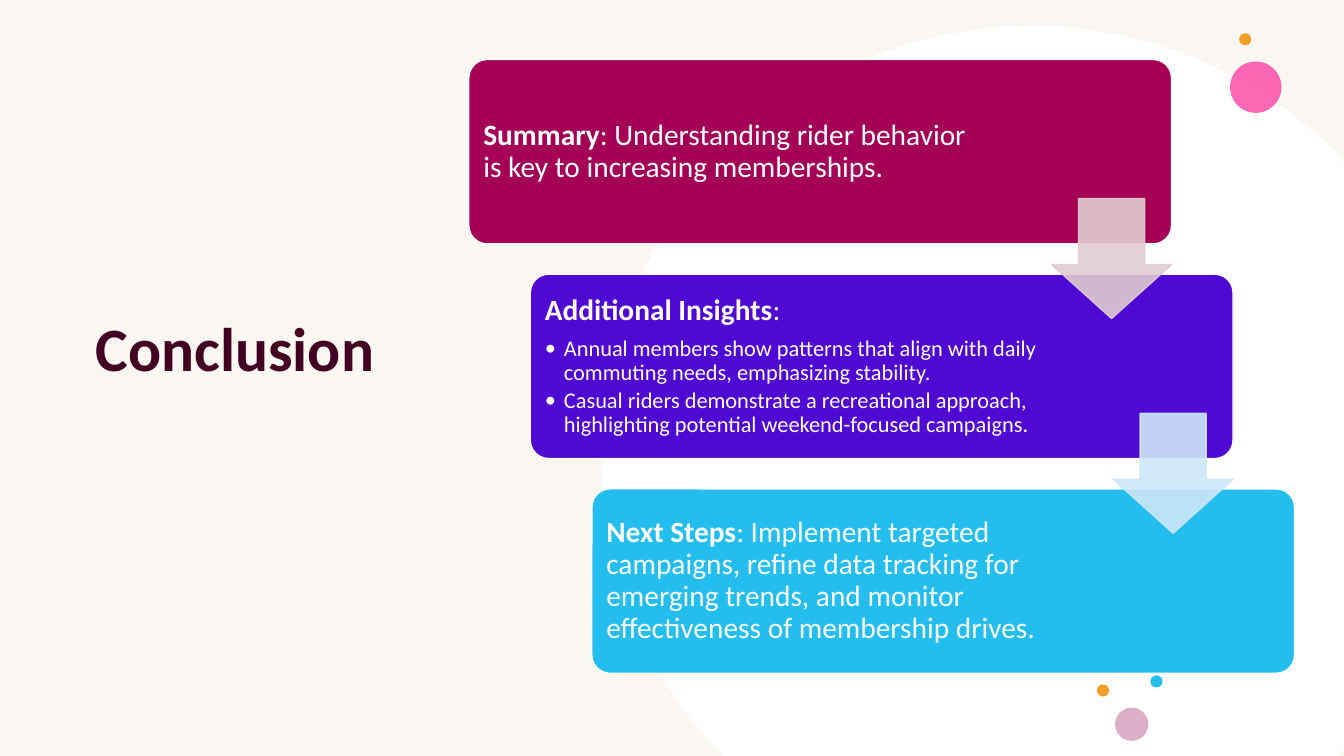
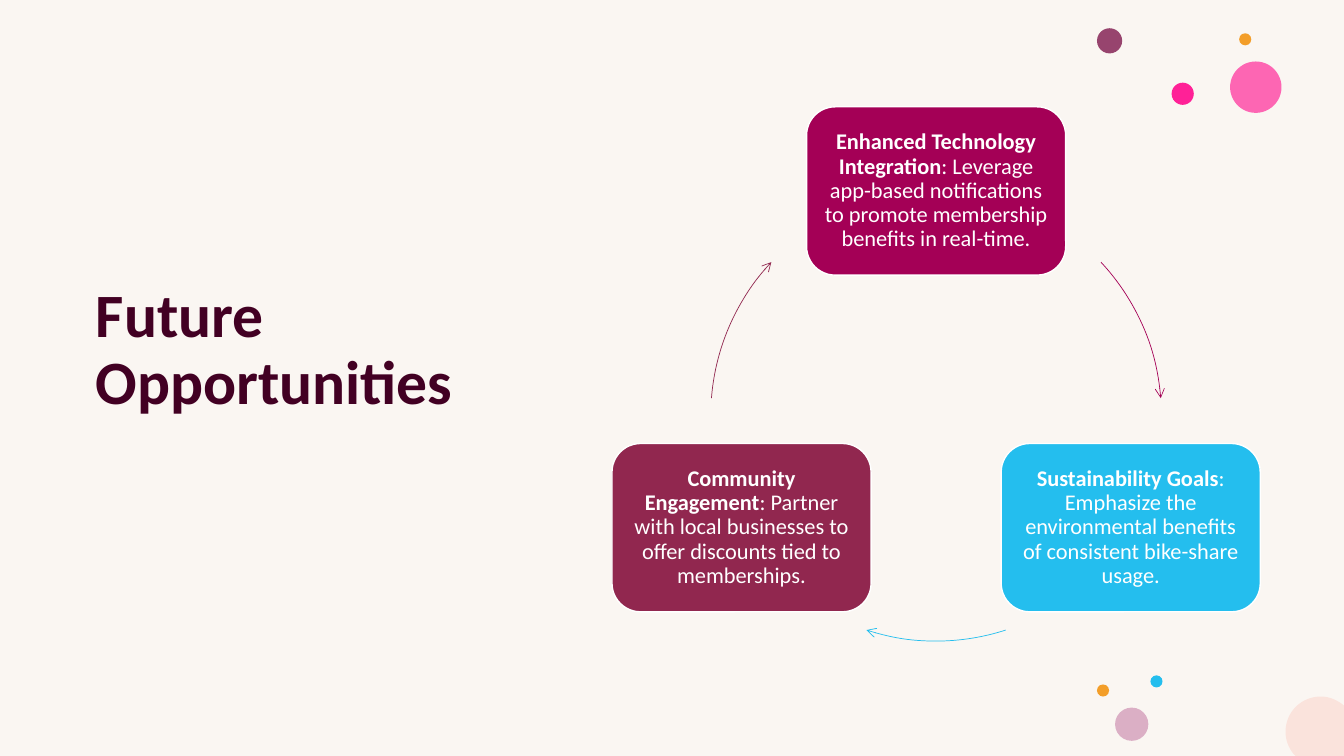
from lxml.etree import Element, SubElement
from pptx import Presentation
from pptx.dml.color import RGBColor
from pptx.enum.shapes import MSO_SHAPE as SHAPE
from pptx.enum.text import MSO_ANCHOR as ANCHOR, MSO_AUTO_SIZE as AUTO_SIZE, PP_ALIGN as ALIGN
from pptx.oxml.ns import qn
from pptx.util import Inches, Pt

FONT = "Calibri"
HEX = {
    "cream": "FAF6F2", "white": "FFFFFF", "title": "420023",
    "magenta": "A40056", "violet": "5008D3", "sky": "24BEEE", "wine": "91274F",
    "pink": "FF2F9C", "hot pink": "FF2197", "orange": "F39E29",
    "mauve": "DBAFC5", "plum": "97446E", "peach": "FAE3DC",
    "pale rose": "E0CCD1", "pale blue": "CDE7F8",
}
COLORS = {name: RGBColor.from_string(value) for name, value in HEX.items()}


def fade(shape, percent):
    """Make the fill and line of a shape partly transparent."""
    for color in shape._element.spPr.iter(qn("a:srgbClr")):
        SubElement(color, qn("a:alpha"), val=str(percent * 1000))


def add_card(slide, box, color, roundness, size, margins, align, heading, body, bullets=()):
    """Rounded box with a bold heading, its text, and bullets below."""
    card = slide.shapes.add_shape(SHAPE.ROUNDED_RECTANGLE, *map(Inches, box))
    card.adjustments[0] = roundness
    card.shadow.inherit = False
    card.fill.solid()
    card.fill.fore_color.rgb = COLORS[color]
    card.line.color.rgb = COLORS["white"]
    card.line.width = Pt(1)
    frame = card.text_frame
    frame.word_wrap = True
    frame.vertical_anchor = ANCHOR.MIDDLE
    frame.margin_left, frame.margin_right = map(Inches, margins)
    frame.margin_top = frame.margin_bottom = Inches(margins[0])

    lines = [([(heading, True), (body, False)], size, 0.35)]
    lines += [([(bullet, False)], 16, 0.15) for bullet in bullets]
    for index, (runs, points, space) in enumerate(lines):
        paragraph = frame.add_paragraph() if index else frame.paragraphs[0]
        paragraph.alignment = align
        paragraph.line_spacing = 0.9
        paragraph.space_after = Pt(points * space)
        if index:
            properties = paragraph._p.get_or_add_pPr()
            properties.set("marL", str(Inches(0.19)))
            properties.set("indent", str(-Inches(0.19)))
            SubElement(properties, qn("a:buFont"), typeface=FONT)
            SubElement(properties, qn("a:buChar"), char="•")
        for text, bold in runs:
            run = paragraph.add_run()
            run.text = text
            run.font.name = FONT
            run.font.size = Pt(points)
            run.font.bold = bold
            run.font.color.rgb = COLORS["white"]


prs = Presentation()
prs.slide_width, prs.slide_height = Inches(13.33), Inches(7.5)
background = prs.slide_master.background.fill
background.solid()
background.fore_color.rgb = COLORS["cream"]

# Dots: left, top, diameter, colour, opacity
shared_dots = [
    (12.2, 0.61, 0.51, "pink", 72),
    (12.29, 0.33, 0.12, "orange", 100),
    (11.41, 6.7, 0.12, "sky", 100),
    (11.06, 7.02, 0.33, "mauve", 100),
    (10.88, 6.79, 0.12, "orange", 100),
]
extra_dots = [
    (10.88, 0.28, 0.25, "plum", 100),
    (11.62, 0.82, 0.22, "hot pink", 100),
]

# Discs cut off by the slide edge: three points make a curve, one a straight line
large_disc = [
    [(10.23, 0.26)],
    [(11.41, 0.26), (12.47, 0.74), (13.25, 1.51)],
    [(13.33, 1.61)], [(13.33, 7.44)], [(13.28, 7.5)], [(7.18, 7.5)], [(6.94, 7.24)],
    [(6.33, 6.5), (5.97, 5.55), (5.97, 4.52)],
    [(5.97, 2.17), (7.88, 0.26), (10.23, 0.26)],
]
corner_disc = [
    [(13.1, 6.91)],
    [(13.19, 6.91), (13.27, 6.95), (13.33, 7)],
    [(13.33, 7.5)], [(12.85, 7.5)], [(12.83, 7.48)],
    [(12.78, 7.42), (12.75, 7.34), (12.75, 7.26)],
    [(12.75, 7.06), (12.91, 6.91), (13.1, 6.91)],
]

pages = [
    ("Conclusion", large_disc, "white", shared_dots),
    ("Future Opportunities", corner_disc, "peach", shared_dots + extra_dots),
]
slides = []
for heading, outline, disc_color, dots in pages:
    slide = prs.slides.add_slide(prs.slide_layouts[5])
    slides.append(slide)

    title = slide.shapes.title
    title.left, title.top, title.width, title.height = map(Inches, (0.85, 1, 5.04, 4.97))
    title.text_frame.word_wrap = True
    title.text_frame.auto_size = AUTO_SIZE.NONE
    title.text_frame.vertical_anchor = ANCHOR.MIDDLE
    paragraph = title.text_frame.paragraphs[0]
    paragraph.alignment = ALIGN.LEFT
    paragraph.line_spacing = 0.9
    run = paragraph.add_run()
    run.text = heading
    run.font.name = FONT
    run.font.size = Pt(44)
    run.font.bold = True
    run.font.color.rgb = COLORS["title"]

    points = [(round(x * 100), round(y * 100)) for segment in outline for x, y in segment]
    builder = slide.shapes.build_freeform(*points[0], scale=Inches(0.01))
    builder.add_line_segments(points[1:], close=True)
    disc = builder.convert_to_shape()
    outline_path = next(disc._element.spPr.iter(qn("a:path")))
    corners = iter(outline_path.findall(qn("a:lnTo")))
    for segment in outline[1:]:
        nodes = [next(corners) for _ in segment]
        if len(nodes) == 3:
            curve = Element(qn("a:cubicBezTo"))
            nodes[0].addprevious(curve)
            for node in nodes:
                curve.append(node[0])
                outline_path.remove(node)
    disc.shadow.inherit = False
    disc.fill.solid()
    disc.fill.fore_color.rgb = COLORS[disc_color]
    disc.line.fill.background()

    for left, top, diameter, color, opacity in dots:
        dot = slide.shapes.add_shape(SHAPE.OVAL, *map(Inches, (left, top, diameter, diameter)))
        dot.shadow.inherit = False
        dot.fill.solid()
        dot.fill.fore_color.rgb = COLORS[color]
        dot.line.fill.background()
        if opacity < 100:
            fade(dot, opacity)

conclusion, future = slides

# Conclusion: a staircase of three cards joined by arrows
STEP_X, STEP_Y = 0.61, 2.13
steps = [
    ("magenta", "Summary", ": Understanding rider behavior is key to increasing memberships.", ()),
    ("violet", "Additional Insights", ":", (
        "Annual members show patterns that align with daily commuting needs, emphasizing stability.",
        "Casual riders demonstrate a recreational approach, highlighting potential "
        "weekend-focused campaigns.",
    )),
    ("sky", "Next Steps", ": Implement targeted campaigns, refine data tracking for emerging "
     "trends, and monitor effectiveness of membership drives.", ()),
]
for index, (color, heading, body, bullets) in enumerate(steps):
    box = (4.65 + index * STEP_X, 0.59 + index * STEP_Y, 6.97, 1.83)
    add_card(conclusion, box, color, 0.1, 21, (0.09, 1.89), ALIGN.LEFT, heading, body, bullets)

for index, color in enumerate(["pale rose", "pale blue"]):
    box = (10.43 + index * STEP_X, 1.97 + index * STEP_Y, 1.19, 1.19)
    arrow = conclusion.shapes.add_shape(SHAPE.DOWN_ARROW, *map(Inches, box))
    arrow.adjustments[0], arrow.adjustments[1] = 0.55, 0.45
    arrow.shadow.inherit = False
    arrow.fill.solid()
    arrow.fill.fore_color.rgb = COLORS[color]
    arrow.line.color.rgb = COLORS[color]
    arrow.line.width = Pt(1)
    fade(arrow, 90)

# Future opportunities: a cycle of three cards, each followed by an arc (degrees)
cycle = [
    (8, 1.06, "magenta", (317, 355.5), "Enhanced Technology Integration",
     ": Leverage app-based notifications to promote membership benefits in real-time."),
    (9.93, 4.4, "sky", (72, 108), "Sustainability Goals",
     ": Emphasize the environmental benefits of consistent bike-share usage."),
    (6.07, 4.4, "wine", (184.5, 223), "Community Engagement",
     ": Partner with local businesses to offer discounts tied to memberships."),
]
for left, top, color, angles, heading, body in cycle:
    add_card(future, (left, top, 2.57, 1.67), color, 0.17, 16, (0.07, 0.07), ALIGN.CENTER,
             heading, body)
    arc = future.shapes.add_shape(SHAPE.ARC, *map(Inches, (7.05, 1.89, 4.47, 4.47)))
    for end, angle in enumerate(angles):
        arc.adjustments[end] = angle * 0.6  # 60000 units a degree, scaled by 100000
    arc.shadow.inherit = False
    arc.fill.background()
    arc.line.color.rgb = COLORS[color]
    arc.line.width = Pt(0.5)
    SubElement(arc.line._get_or_add_ln(), qn("a:tailEnd"), type="arrow")

prs.save("out.pptx")
